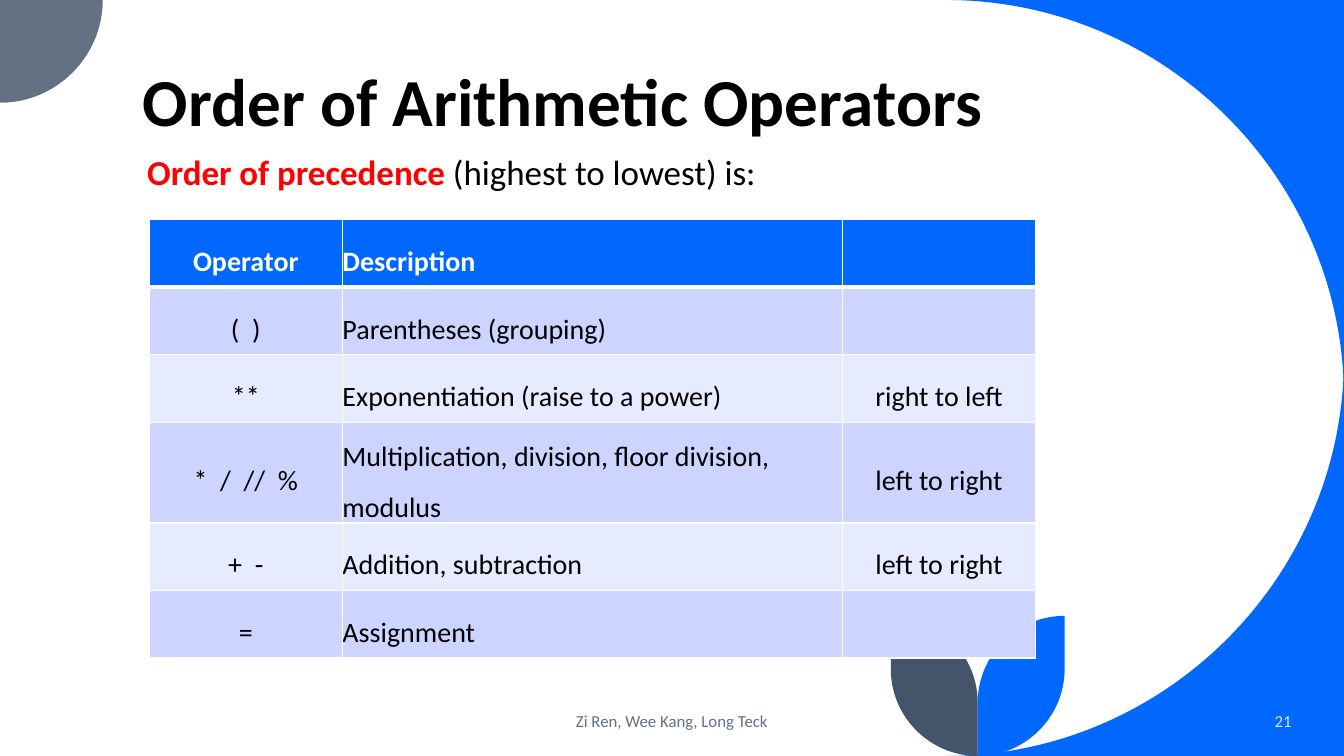
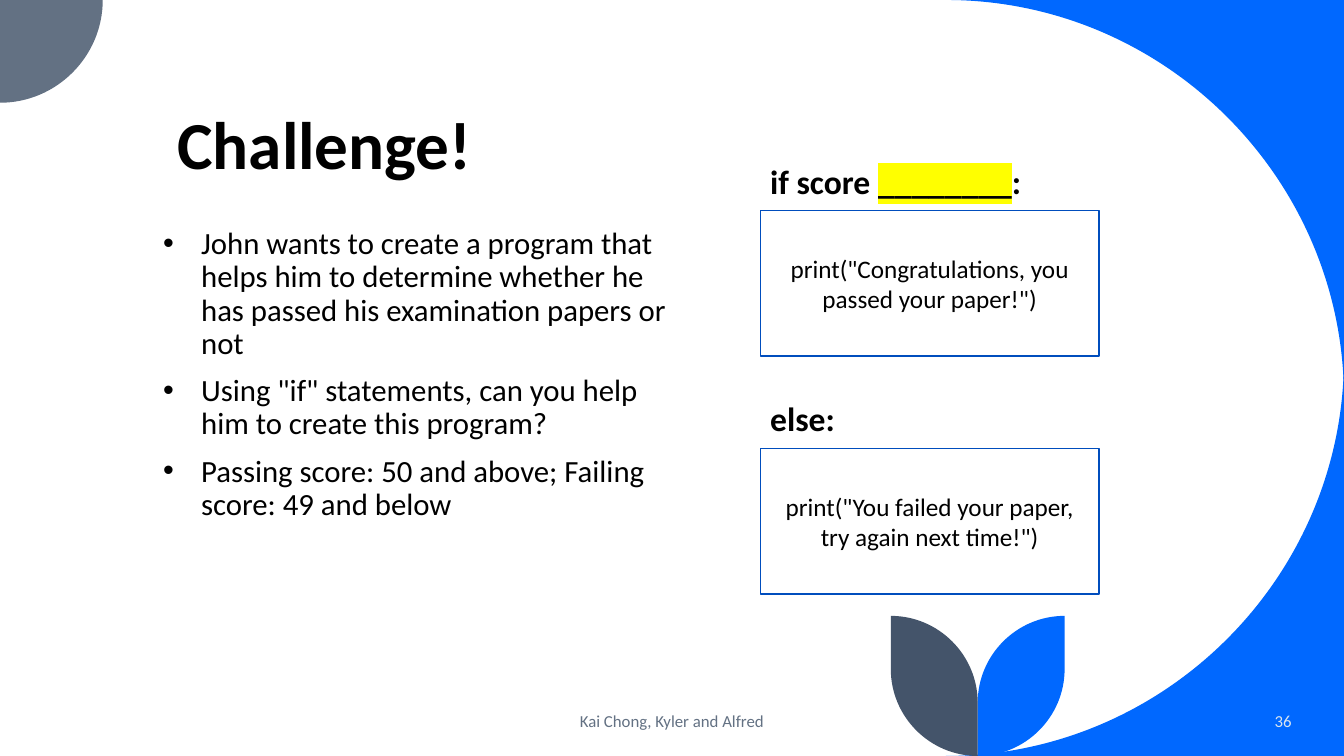
import pptx
import pptx.dml.color
import pptx.enum.shapes
import pptx.enum.text
import pptx.oxml.ns
import pptx.util
from lxml import etree

Cm = pptx.util.Cm
Pt = pptx.util.Pt
RGBColor = pptx.dml.color.RGBColor
ALIGN = pptx.enum.text.PP_ALIGN
ANCHOR = pptx.enum.text.MSO_ANCHOR
qn = pptx.oxml.ns.qn

# Shared style
FONT = "Calibri"
BLACK = RGBColor(0x00, 0x00, 0x00)
WHITE = RGBColor(0xFF, 0xFF, 0xFF)
RED = RGBColor(0xFF, 0x00, 0x00)
YELLOW = RGBColor(0xFF, 0xFF, 0x00)
BLUE = RGBColor(0x00, 0x68, 0xFF)
BOX_BLUE = RGBColor(0x00, 0x4D, 0xBD)
SLATE = RGBColor(0x63, 0x71, 0x83)
DARK_SLATE = RGBColor(0x44, 0x54, 0x6A)
PALE = RGBColor(0xDA, 0xE5, 0xEF)
ROW_DARK = RGBColor(0xCC, 0xD4, 0xFF)
ROW_LIGHT = RGBColor(0xE7, 0xEB, 0xFF)

SLIDE_W, SLIDE_H = 33.87, 19.05
FOOTER_TOP, FOOTER_H = 17.65, 1.02
ROUNDNESS = 0.55  # control point reach that turns a curve into a quarter circle

# Content
OPERATORS = [
    ("Operator", "Description", ""),
    ("(  )", "Parentheses (grouping)", ""),
    ("**", "Exponentiation (raise to a power)", "right to left"),
    ("*  /  //  %", "Multiplication, division, floor division, modulus",
     "left to right"),
    ("+  -", "Addition, subtraction", "left to right"),
    ("=", "Assignment", ""),
]
TASK = [
    "John wants to create a program that helps him to determine whether he "
    "has passed his examination papers or not",
    'Using "if" statements, can you help him to create this program?',
    "Passing score: 50 and above; Failing score: 49 and below",
]
# Condition, its top and width, code, its top
BRANCHES = [
    ([("if score ", {}), ("________", {"highlight": YELLOW}), (":", {})],
     4.05, 8.54, 'print("Congratulations, you passed your paper!")', 5.31),
    ("else:", 10.01, 3.1,
     'print("You failed your paper, try again next time!")', 11.31),
]


def add_run(paragraph, text, size, color, bold=False, highlight=None):
    run = paragraph.add_run()
    run.text = text
    run.font.size = Pt(size)
    run.font.bold = bold
    run.font.color.rgb = color
    if highlight is not None:
        mark = etree.SubElement(run.font._element, qn("a:highlight"))
        etree.SubElement(mark, qn("a:srgbClr"), val=str(highlight))
    run.font.name = FONT


def add_bullet(paragraph, indent):
    properties = paragraph._p.get_or_add_pPr()
    properties.set("marL", str(Cm(indent)))
    properties.set("indent", str(-Cm(indent)))
    etree.SubElement(properties, qn("a:buFont"), typeface="Arial")
    etree.SubElement(properties, qn("a:buChar"), char="•")


def write_text(frame, *paragraphs, align=ALIGN.LEFT, spacing=1.0, gap=0,
               bullet_indent=None, **run_format):
    """Each paragraph is a string or a list of (text, format changes)."""
    frame.word_wrap = True
    for index, content in enumerate(paragraphs):
        paragraph = frame.add_paragraph() if index else frame.paragraphs[0]
        if bullet_indent:
            add_bullet(paragraph, bullet_indent)
        paragraph.alignment = align
        paragraph.line_spacing = spacing
        if index and gap:
            paragraph.space_before = Pt(gap)
        runs = [(content, {})] if isinstance(content, str) else content
        for text, changes in runs:
            add_run(paragraph, text, **{**run_format, **changes})


def add_text(slide, box, *paragraphs, anchor=ANCHOR.TOP, **text_format):
    frame = slide.shapes.add_textbox(*map(Cm, box)).text_frame
    frame.vertical_anchor = anchor
    write_text(frame, *paragraphs, **text_format)


def bend(line, start, end, pull, origin):
    """Turn a straight segment into a curve drawn towards the pull point."""
    line.tag = qn("a:cubicBezTo")
    for position, near in enumerate((start, end)):
        control = [Cm(n + ROUNDNESS * (p - n)) - o
                   for n, p, o in zip(near, pull, origin)]
        point = etree.Element(qn("a:pt"), x=str(control[0]), y=str(control[1]))
        line.insert(position, point)


def add_outline(slide, color, start, *steps):
    """Each step is an end point, and for a curve also its pull point."""
    builder = slide.shapes.build_freeform(*map(Cm, start))
    builder.add_line_segments([tuple(map(Cm, step[0])) for step in steps])
    outline = builder.convert_to_shape()
    outline.shadow.inherit = False
    outline.fill.solid()
    outline.fill.fore_color.rgb = color
    outline.line.fill.background()
    origin = outline.left, outline.top
    lines = list(outline._element.iter(qn("a:lnTo")))
    for line, (end, *pull) in zip(lines, steps):
        if pull:
            bend(line, start, end, pull[0], origin)
        start = end
    return outline


def add_leaf(slide, color, side):
    stem, width, height = 24.64, 2.19, 3.53
    tip, top = stem + side * width, SLIDE_H - height
    return add_outline(
        slide, color, (tip, top),
        ((tip, SLIDE_H - width),),
        ((stem, SLIDE_H), (tip, SLIDE_H)),
        ((stem, top + width),),
        ((tip, top), (stem, top)))


def add_decoration(slide):
    """Draw the shared outlines and hand them to the slide's layout."""
    layout = slide.slide_layout
    for placeholder in list(layout.placeholders):
        layout.placeholders._spTree.remove(placeholder._element)
    outlines = []
    # Blue corners around the large curve
    radius = 10.03
    for corner_y, curve_y in ((0, radius), (SLIDE_H, SLIDE_H - radius)):
        corner = (SLIDE_W, corner_y)
        outlines.append(add_outline(
            slide, BLUE, corner, ((SLIDE_W - radius, corner_y),),
            ((SLIDE_W, curve_y), corner), (corner,)))
    # Quarter circle at the top left
    size = 2.59
    outlines.append(add_outline(
        slide, SLATE, (0, 0), ((size, 0),), ((0, size), (size, size)),
        ((0, 0),)))
    # Two mirrored leaves
    outlines.append(add_leaf(slide, BLUE, 1))
    outlines.append(add_leaf(slide, DARK_SLATE, -1))
    for outline in outlines:
        layout.shapes._spTree.append(outline._element)


def add_base(deck, title, title_at, authors, number):
    slide = deck.slides.add_slide(deck.slide_layouts[6])
    if len(deck.slides) == 1:
        add_decoration(slide)
    add_text(slide, (*title_at, 27.15, 3.68), title, anchor=ANCHOR.BOTTOM,
             spacing=0.9, size=48, color=BLACK, bold=True)
    add_text(slide, (11.22, FOOTER_TOP, 11.43, FOOTER_H), authors,
             anchor=ANCHOR.MIDDLE, align=ALIGN.CENTER, size=12, color=SLATE)
    add_text(slide, (28.2, FOOTER_TOP, 4.6, FOOTER_H), number,
             anchor=ANCHOR.MIDDLE, align=ALIGN.RIGHT, size=12, color=PALE)
    return slide


def set_borders(cell, bottom):
    properties = cell._tc.get_or_add_tcPr()
    for side, width in (("L", 1), ("R", 1), ("T", 1), ("B", bottom)):
        line = etree.SubElement(properties, qn(f"a:ln{side}"),
                                w=str(Pt(width)))
        fill = etree.SubElement(line, qn("a:solidFill"))
        etree.SubElement(fill, qn("a:srgbClr"), val=str(WHITE))


def add_operator_table(slide, left, top, widths, row_height, height):
    frame = slide.shapes.add_table(
        len(OPERATORS), len(widths), Cm(left), Cm(top), Cm(sum(widths)),
        Cm(height))
    table = frame.table
    for column, width in zip(table.columns, widths):
        column.width = Cm(width)
    for r, row in enumerate(OPERATORS):
        table.rows[r].height = Cm(row_height)
        header = r == 0
        for c, text in enumerate(row):
            cell = table.cell(r, c)
            set_borders(cell, 3 if header else 1)
            cell.fill.solid()
            cell.fill.fore_color.rgb = (
                BLUE if header else ROW_DARK if r % 2 else ROW_LIGHT)
            cell.vertical_anchor = ANCHOR.MIDDLE
            cell.margin_left = cell.margin_right = 0
            cell.margin_top = cell.margin_bottom = 0
            if text:
                write_text(cell.text_frame, text, spacing=1.5, size=20,
                           align=ALIGN.LEFT if c == 1 else ALIGN.CENTER,
                           color=WHITE if header else BLACK, bold=header)
    frame.height = Cm(height)


def add_code_box(slide, box, code):
    frame = slide.shapes.add_shape(
        pptx.enum.shapes.MSO_SHAPE.RECTANGLE, *map(Cm, box))
    frame.shadow.inherit = False
    frame.fill.solid()
    frame.fill.fore_color.rgb = WHITE
    frame.line.color.rgb = BOX_BLUE
    frame.line.width = Pt(1)
    frame.text_frame.vertical_anchor = ANCHOR.MIDDLE
    write_text(frame.text_frame, code, align=ALIGN.CENTER, size=18,
               color=BLACK)


def add_operators_slide(deck):
    slide = add_base(deck, "Order of Arithmetic Operators", (3.35, 0),
                     "Zi Ren, Wee Kang, Long Teck", "21")
    add_operator_table(slide, 3.76, 5.54, (4.87, 12.6, 4.87), 1.7, 10.87)
    add_text(slide, (3.46, 3.66, 17.48, 1.32),
             [("Order of precedence", {"color": RED, "bold": True}),
              (" (highest to lowest) is:", {})], size=25, color=BLACK)


def add_challenge_slide(deck):
    slide = add_base(deck, "Challenge!", (4.22, 1.09),
                     "Kai Chong, Kyler and Alfred", "36")
    add_text(slide, (3.86, 5.62, 13.41, 12.12), *TASK, spacing=0.9, gap=10,
             bullet_indent=0.96, size=22, color=BLACK)
    # Conditions, each above the code it runs
    left = 19.16
    for condition, top, width, code, code_top in BRANCHES:
        add_text(slide, (left, top, width, 1.47), condition,
                 spacing=0.9, size=24, color=BLACK, bold=True)
        add_code_box(slide, (left, code_top, 8.54, 3.66), code)


def main():
    deck = pptx.Presentation()
    deck.slide_width, deck.slide_height = Cm(SLIDE_W), Cm(SLIDE_H)
    add_operators_slide(deck)
    add_challenge_slide(deck)
    deck.save("out.pptx")


if __name__ == "__main__":
    main()
